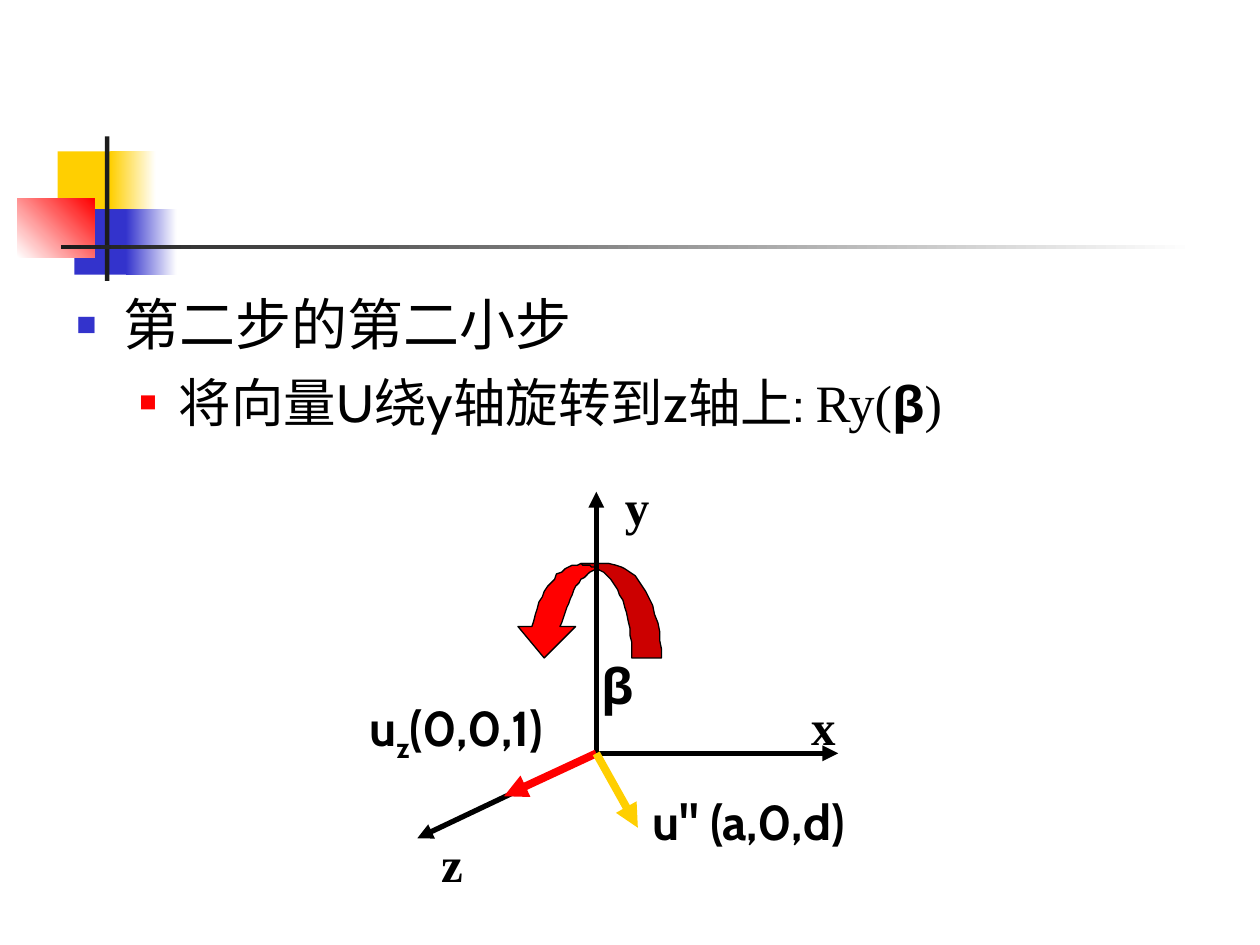
from lxml import etree
from pptx import Presentation
from pptx.dml.color import RGBColor
from pptx.enum.shapes import MSO_CONNECTOR, MSO_SHAPE
from pptx.enum.text import MSO_ANCHOR, MSO_AUTO_SIZE, PP_ALIGN
from pptx.oxml.ns import qn
from pptx.util import Pt

SERIF, SANS = "Times New Roman", "Cabin"
BLACK, CHARCOAL, WHITE = "000000", "1C1C1C", "FFFFFF"
YELLOW, BLUE, RED, DARK_RED = "FFCF01", "3333CC", "FF0000", "CC0000"

# left, top, width, height, colours (two make a gradient), angle
DECORATION = [
    (33, 86.5, 34.5, 37.5, [YELLOW], 0),
    (63, 86.5, 26, 37.5, [YELLOW, WHITE], 0),
    (42.5, 119.5, 33, 37.5, [BLUE], 0),
    (72, 119.5, 29, 37.5, [BLUE, WHITE], 0),
    (10, 113.5, 44, 33.5, [WHITE, RED], 45),
    (60, 78, 2.5, 82.5, [CHARCOAL], 0),
    (35, 140, 648, 2.5, [CHARCOAL, WHITE], 0),
]

# indent, hanging, space before, bullet colour, bullet %, runs (text, size, font, bold)
BODY = [
    (27, 27, 0, BLUE, 60, [("第二步的第二小步", 32, SERIF, False)]),
    (58.5, 22.5, 7.5, RED, 55, [
        ("将向量U绕y轴旋转到z轴上: ", 30, SANS, False),
        ("Ry(", 30, SERIF, False),
        ("β", 28, SANS, True),
        (")", 30, SERIF, False),
    ]),
]

ORIGIN = (340.75, 430.5)
# end point, colour, line width
AXES = [((340.75, 281), BLACK, 3), ((479, 430.5), BLACK, 3), ((238.5, 479), BLACK, 3)]
VECTORS = [((288, 455), RED, 4.5), ((364.5, 473), YELLOW, 4.5)]

# Each outline: start, then points; a group of three points is a Bezier curve
ROTATION_HEAD = ((348.5, 322.5), [
    [(332, 322.5)],
    [(319, 322.5), (308, 338), (304, 358.5)],
    [(295.5, 358.5)], [(311, 376.5)], [(329, 358.5)], [(320.5, 358.5)],
    [(323.5, 343), (331, 329), (341, 325)],
])
ROTATION_TAIL = ((378, 376.5), [
    [(378, 347), (365, 322.5), (348.5, 322.5)],
    [(332, 322.5)],
    [(335, 322.5), (338, 323.5), (341, 325)],
    [(353, 329), (361, 352), (361, 376.5)],
])

# left, top, width, height, font, line spacing, runs (text, is subscript)
LABELS = [
    (456.5, 394.5, 28, 41, SERIF, 1, [("x", False)]),
    (245, 473, 26.5, 41, SERIF, 1, [("z", False)]),
    (350, 268.5, 28, 41, SERIF, 1, [("y", False)]),
    (336.5, 371, 32.5, 41, SANS, 1, [("β", False)]),
    (366, 448.5, 140, 41, SANS, 1, [("u'' (a,0,d)", False)]),
    (204, 391, 123, 50, SANS, 1.1, [("u", False), ("z", True), ("(0,0,1)", False)]),
]


def color(hex_value):
    return RGBColor.from_string(hex_value)


def add_run(paragraph, text, size, font_name, bold):
    run = paragraph.add_run()
    run.text = text
    font = run.font
    font.size, font.name, font.bold = Pt(size), font_name, bold
    font.color.rgb = color(BLACK)
    return run


def add_rectangle(slide, left, top, width, height, colors, angle):
    shape = slide.shapes.add_shape(
        MSO_SHAPE.RECTANGLE, Pt(left), Pt(top), Pt(width), Pt(height))
    shape.shadow.inherit = False
    shape.line.fill.background()
    if len(colors) == 1:
        shape.fill.solid()
        shape.fill.fore_color.rgb = color(colors[0])
    else:
        shape.fill.gradient()
        shape.fill.gradient_angle = angle
        for stop, hex_value in zip(shape.fill.gradient_stops, colors):
            stop.color.rgb = color(hex_value)


def set_bullet(paragraph, indent, hanging, hex_value, percent):
    properties = paragraph._p.get_or_add_pPr()
    properties.set("marL", str(Pt(indent)))
    properties.set("indent", str(-Pt(hanging)))
    bullet_color = etree.SubElement(properties, qn("a:buClr"))
    etree.SubElement(bullet_color, qn("a:srgbClr"), val=hex_value)
    etree.SubElement(properties, qn("a:buSzPct"), val=str(percent * 1000))
    etree.SubElement(properties, qn("a:buFont"), typeface="Arial")
    etree.SubElement(properties, qn("a:buChar"), char="■")


def fill_body(body):
    body.left, body.top, body.width, body.height = Pt(36.5), Pt(162), Pt(644), Pt(104)
    frame = body.text_frame
    frame.auto_size = MSO_AUTO_SIZE.NONE
    frame.vertical_anchor = MSO_ANCHOR.TOP
    for level, (indent, hanging, before, hex_value, percent, runs) in enumerate(BODY):
        paragraph = frame.add_paragraph() if level else frame.paragraphs[0]
        paragraph.level = level
        paragraph.line_spacing = 1
        paragraph.space_before = Pt(before)
        set_bullet(paragraph, indent, hanging, hex_value, percent)
        for run in runs:
            add_run(paragraph, *run)


def curve_points(start, first, second, end, steps=16):
    """Return points along a cubic Bezier curve, without its start."""
    points = []
    for step in range(1, steps + 1):
        t = step / steps
        weights = ((1 - t) ** 3, 3 * t * (1 - t) ** 2, 3 * t * t * (1 - t), t ** 3)
        controls = (start, first, second, end)
        points.append(tuple(
            sum(weight * control[axis] for weight, control in zip(weights, controls))
            for axis in (0, 1)))
    return points


def add_outline(slide, start, segments, hex_value):
    points = [start]
    for segment in segments:
        points += curve_points(points[-1], *segment) if len(segment) == 3 else segment
    builder = slide.shapes.build_freeform(*start, scale=Pt(1))
    builder.add_line_segments(points[1:], close=True)
    shape = builder.convert_to_shape()
    shape.shadow.inherit = False
    shape.fill.solid()
    shape.fill.fore_color.rgb = color(hex_value)
    shape.line.color.rgb = color(BLACK)
    shape.line.width = Pt(0.75)


def add_arrow(slide, end, hex_value, width):
    arrow = slide.shapes.add_connector(
        MSO_CONNECTOR.STRAIGHT, *(Pt(value) for value in ORIGIN + end))
    arrow.line.color.rgb = color(hex_value)
    arrow.line.width = Pt(width)
    etree.SubElement(arrow.line._get_or_add_ln(), qn("a:tailEnd"), type="triangle")
    etree.SubElement(arrow._element.spPr, qn("a:effectLst"))


def add_label(slide, left, top, width, height, font_name, spacing, runs):
    box = slide.shapes.add_textbox(Pt(left), Pt(top), Pt(width), Pt(height))
    box.text_frame.word_wrap = False
    paragraph = box.text_frame.paragraphs[0]
    paragraph.alignment = PP_ALIGN.LEFT
    paragraph.line_spacing = spacing
    for text, is_subscript in runs:
        run = add_run(paragraph, text, 28, font_name, True)
        if is_subscript:
            run._r.get_or_add_rPr().set("baseline", "-25000")


def main():
    presentation = Presentation()
    presentation.slide_width, presentation.slide_height = Pt(720), Pt(540)
    slide = presentation.slides.add_slide(presentation.slide_layouts[1])
    title = slide.shapes.title._element
    title.getparent().remove(title)
    for rectangle in DECORATION:
        add_rectangle(slide, *rectangle)
    fill_body(slide.placeholders[1])
    add_outline(slide, *ROTATION_HEAD, RED)
    add_outline(slide, *ROTATION_TAIL, DARK_RED)
    for arrow in AXES + VECTORS:
        add_arrow(slide, *arrow)
    for label in LABELS:
        add_label(slide, *label)
    presentation.save("out.pptx")


if __name__ == "__main__":
    main()
